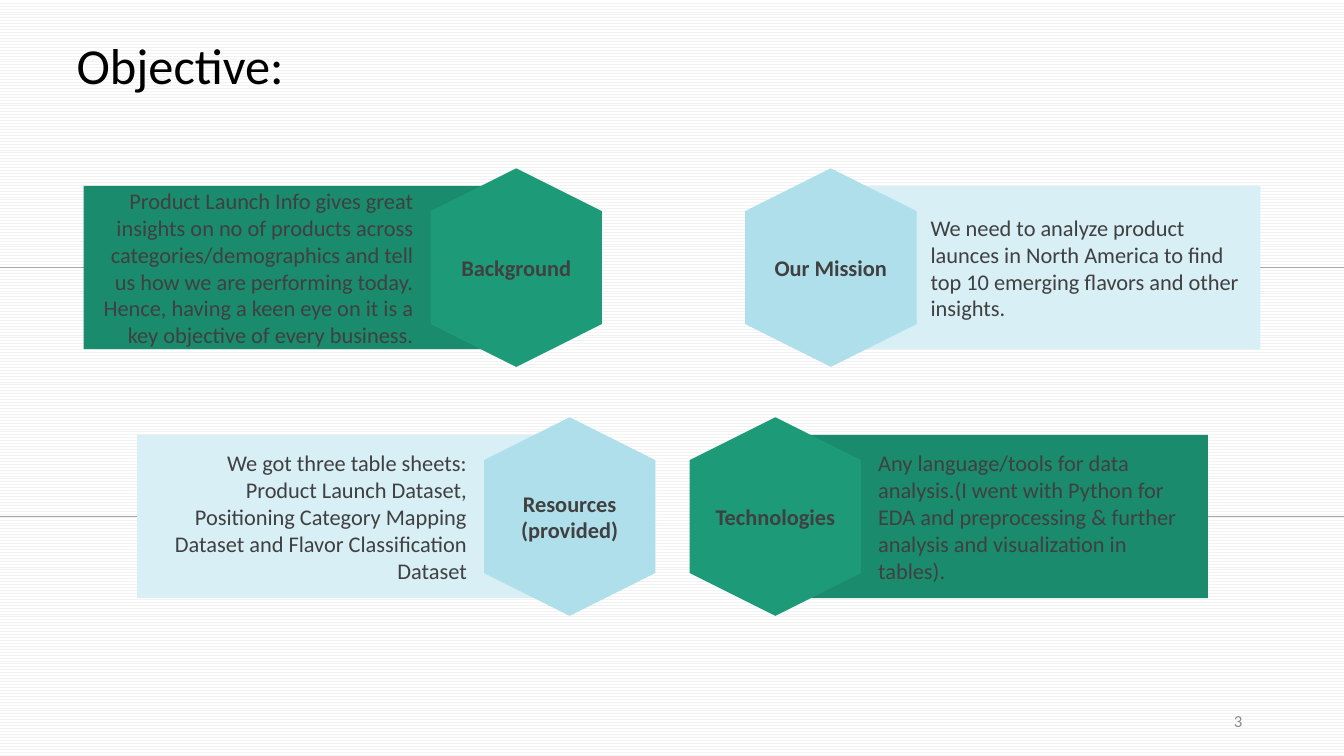
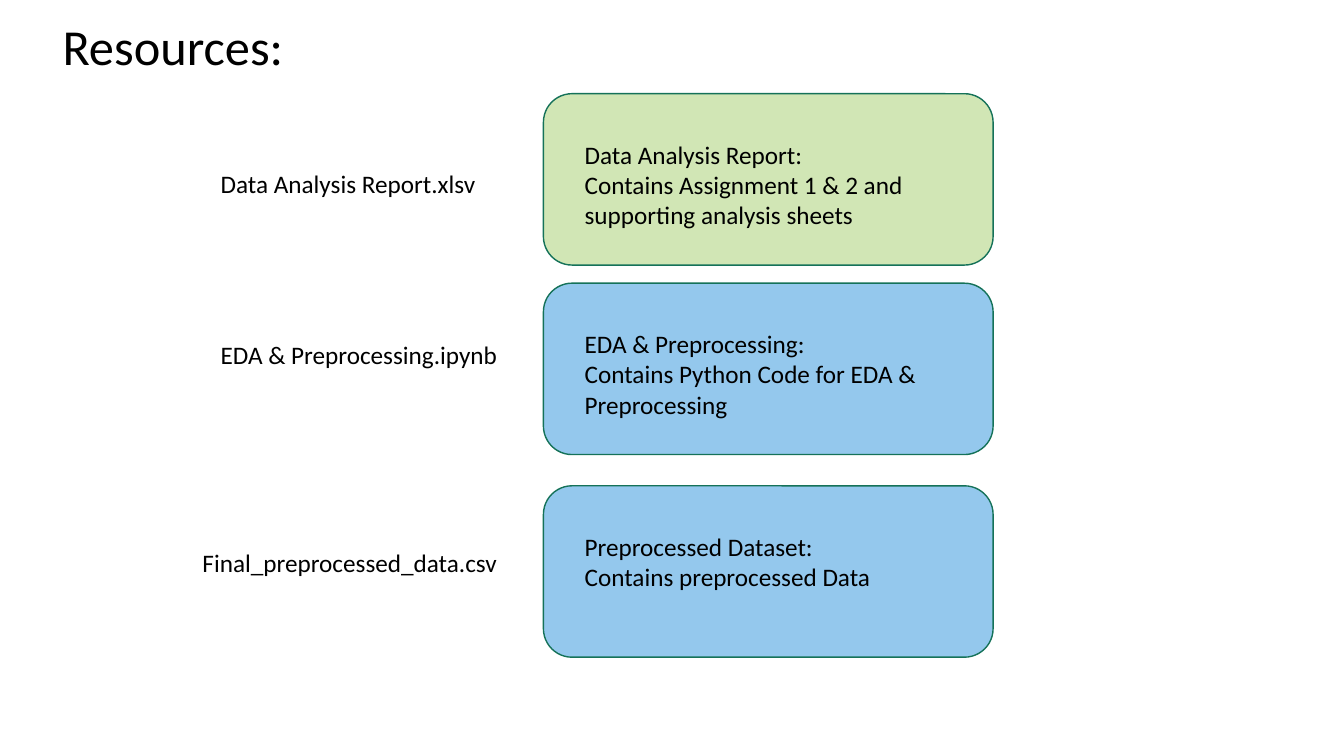
from lxml import etree
from pptx import Presentation
from pptx.dml.color import RGBColor
from pptx.enum.dml import MSO_PATTERN
from pptx.enum.shapes import MSO_CONNECTOR, MSO_SHAPE
from pptx.enum.text import MSO_ANCHOR, PP_ALIGN
from pptx.oxml.ns import qn
from pptx.util import Pt

PX = 9144
PAGE_WIDTH, PAGE_HEIGHT = 1333, 750
FONT = "Calibri"
BLACK, GREY_TEXT, PAGE_GREY, RULE_GREY = "000000", "404040", "8C8C8C", "A6A6A6"
GREEN = ("1D9A78", "1A8B6C")
AQUA = ("AFDFEB", "D7EFF5")
CARD_GREEN, CARD_BLUE, CARD_EDGE = "D1E6B5", "94C8ED", "157259"

RECTANGLE, ROUNDED = MSO_SHAPE.RECTANGLE, MSO_SHAPE.ROUNDED_RECTANGLE
HEXAGON, STRAIGHT = MSO_SHAPE.HEXAGON, MSO_CONNECTOR.STRAIGHT
ZIG_ZAG = MSO_PATTERN.ZIG_ZAG
LEFT, CENTER, RIGHT = PP_ALIGN.LEFT, PP_ALIGN.CENTER, PP_ALIGN.RIGHT
TOP, MIDDLE = MSO_ANCHOR.TOP, MSO_ANCHOR.MIDDLE

HEX_WIDTH, HEX_HEIGHT = 170, 197
BAR_WIDTH, BAR_HEIGHT = 429, 162
BODY_WIDTH, BODY_INSET = 310, 17
LABEL_WIDTH = 151

OBJECTIVES = [
    ((83, 167, 514, HEX_HEIGHT), GREEN, True, "Background",
     "Product Launch Info gives great insights on no of products across "
     "categories/demographics and tell us how we are performing today. "
     "Hence, having a keen eye on it is a key objective of every business."),
    ((739, 167, 511, HEX_HEIGHT), AQUA, False, "Our Mission",
     "We need to analyze product launces in North America to find top 10 "
     "emerging flavors and other insights."),
    ((136, 414, 514, HEX_HEIGHT), AQUA, True, "Resources (provided)",
     "We got three table sheets: Product Launch Dataset, Positioning Category "
     "Mapping Dataset and Flavor Classification Dataset"),
    ((684, 414, 514, HEX_HEIGHT), GREEN, False, "Technologies",
     "Any language/tools for data analysis.(I went with Python for EDA and "
     "preprocessing & further analysis and visualization in tables)."),
]

RESOURCES = [
    ((539, 93, 446, 170), CARD_GREEN,
     "Data Analysis Report:\nContains Assignment 1 & 2 and supporting analysis sheets",
     (209, 162, 300, 40), "Data Analysis Report.xlsv"),
    ((539, 281, 446, 170), CARD_BLUE,
     "EDA & Preprocessing:\nContains Python Code for EDA & Preprocessing",
     (209, 332, 300, 40), "EDA & Preprocessing.ipynb"),
    ((539, 482, 446, 170), CARD_BLUE,
     "Preprocessed Dataset:\nContains preprocessed Data",
     (191, 538, 319, 40), "Final_preprocessed_data.csv"),
]


def rgb(value):
    """Turn a hex string into a colour."""
    return RGBColor.from_string(value)


def scaled(*lengths):
    """Turn px lengths into EMU."""
    return [round(length * PX) for length in lengths]


def add_text(page, box, text, size, color=BLACK, align=LEFT, anchor=TOP,
             bold=False, inset=True):
    """Add a wrapped text box in one style."""
    frame = page.shapes.add_textbox(*scaled(*box)).text_frame
    frame.word_wrap = True
    frame.vertical_anchor = anchor
    if not inset:
        frame.margin_left = frame.margin_right = 0
        frame.margin_top = frame.margin_bottom = 0
    frame.text = text
    for para in frame.paragraphs:
        para.alignment = align
        for span in para.runs:
            span.font.name = FONT
            span.font.size = Pt(size)
            span.font.bold = bold
            span.font.color.rgb = rgb(color)


def add_block(page, kind, box, fill, edge=None):
    """Add a flat filled shape with an optional outline."""
    block = page.shapes.add_shape(kind, *scaled(*box))
    block.shadow.inherit = False
    block.fill.solid()
    block.fill.fore_color.rgb = rgb(fill)
    if edge:
        block.line.color.rgb = rgb(edge)
        block.line.width = Pt(1)
    else:
        block.line.fill.background()
    return block


def add_rule(page, start, end, y):
    """Add a thin horizontal line."""
    rule = page.shapes.add_connector(STRAIGHT, *scaled(start, y, end, y))
    rule.line.color.rgb = rgb(RULE_GREY)
    rule.line.width = Pt(1)
    etree.SubElement(rule._element.spPr, qn("a:effectLst"))


def add_page(deck, title, title_box):
    """Add a blank page with its title."""
    page = deck.slides.add_slide(deck.slide_layouts[6])
    add_text(page, title_box, title, 36, inset=False)
    return page


def add_objective(page, box, colors, on_left, label, body):
    """Add a bar with a hexagon at its inner end and a line to the page edge."""
    left, top, width, height = box
    right, middle = left + width, top + height / 2
    hex_fill, bar_fill = colors
    bar_top = middle - BAR_HEIGHT / 2
    if on_left:
        bar_left, hex_left = left, right - HEX_WIDTH
        body_left, align = left + BODY_INSET, RIGHT
        add_rule(page, 0, left, middle)
    else:
        bar_left, hex_left = right - BAR_WIDTH, left
        body_left, align = right - BODY_INSET - BODY_WIDTH, LEFT
        add_rule(page, right, PAGE_WIDTH, middle)
    add_block(page, RECTANGLE, (bar_left, bar_top, BAR_WIDTH, BAR_HEIGHT), bar_fill)
    center = hex_left + HEX_WIDTH / 2
    hexagon = add_block(page, HEXAGON, (center - HEX_HEIGHT / 2, middle - HEX_WIDTH / 2,
                                        HEX_HEIGHT, HEX_WIDTH), hex_fill)
    hexagon.rotation = 90
    add_text(page, (center - LABEL_WIDTH / 2, middle - 27, LABEL_WIDTH, 54), label, 16,
             GREY_TEXT, CENTER, MIDDLE, bold=True, inset=False)
    add_text(page, (body_left, bar_top, BODY_WIDTH, BAR_HEIGHT), body, 16,
             GREY_TEXT, align, MIDDLE, inset=False)


def add_resource(page, box, fill, text, file_box, file_name):
    """Add a rounded card with its text and the file name beside it."""
    left, top, width, height = box
    add_block(page, ROUNDED, box, fill, CARD_EDGE)
    add_text(page, (left + 31, top + 40, width - 41, height - 69), text, 18)
    add_text(page, file_box, file_name, 18)


def build_objective(deck):
    """Build the page with the four objectives."""
    page = add_page(deck, "Objective:", (76, 34, 1182, 61))
    fill = page.background.fill
    fill.patterned()
    fill.pattern = ZIG_ZAG
    fill.fore_color.rgb = rgb("F2F2F2")
    fill.back_color.rgb = rgb("FFFFFF")
    for objective in OBJECTIVES:
        add_objective(page, *objective)
    add_text(page, (942, 695, 300, 40), "3", 12, PAGE_GREY, RIGHT, MIDDLE)


def build_resources(deck):
    """Build the page with the three files."""
    page = add_page(deck, "Resources:", (62, 15, 968, 61))
    for resource in RESOURCES:
        add_resource(page, *resource)


def main():
    """Build and save the deck."""
    deck = Presentation()
    deck.slide_width, deck.slide_height = scaled(PAGE_WIDTH, PAGE_HEIGHT)
    build_objective(deck)
    build_resources(deck)
    deck.save("out.pptx")


if __name__ == "__main__":
    main()
